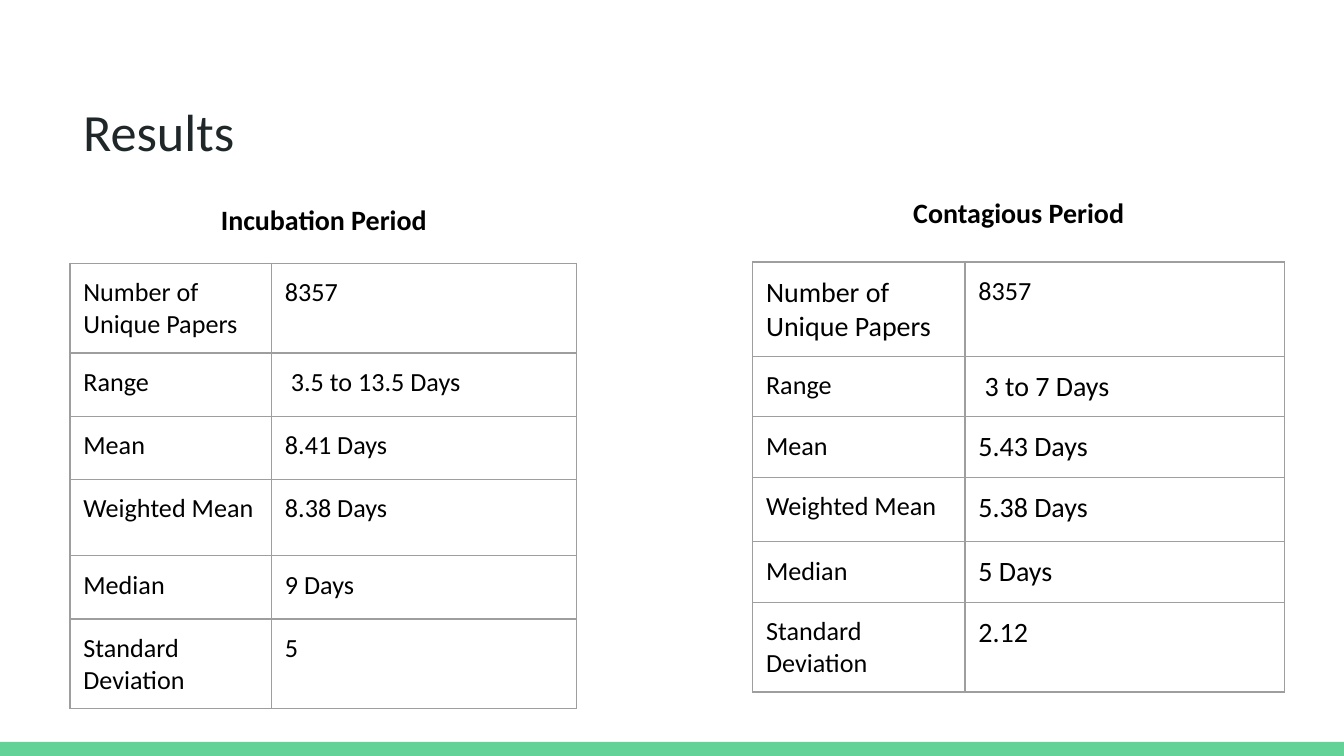
from lxml import etree
from pptx import Presentation
from pptx.dml.color import RGBColor
from pptx.enum.shapes import MSO_SHAPE
from pptx.enum.text import MSO_ANCHOR, PP_ALIGN
from pptx.oxml.ns import qn
from pptx.util import Inches, Pt

RECT = MSO_SHAPE.RECTANGLE
TOP, MIDDLE = MSO_ANCHOR.TOP, MSO_ANCHOR.MIDDLE
LEFT, CENTER = PP_ALIGN.LEFT, PP_ALIGN.CENTER

GREEN = RGBColor(0x63, 0xD2, 0x97)
DARK = RGBColor(0x20, 0x27, 0x29)
BLACK = RGBColor(0, 0, 0)
GRAY = RGBColor(0x9E, 0x9E, 0x9E)

FONT = "Calibri"
INSET = Inches(0.1)
LABELS = ["Number of Unique Papers", "Range", "Mean", "Weighted Mean",
          "Median", "Standard Deviation"]


def write(tf, text, size=14, color=BLACK, bold=False, align=LEFT, spacing=None):
    tf.word_wrap = True
    p = tf.paragraphs[0]
    p.alignment = align
    p.line_spacing = spacing
    r = p.add_run()
    r.text = text
    r.font.name = FONT
    r.font.size = Pt(size)
    r.font.bold = bold
    r.font.color.rgb = color


def add_text(s, box, text, anchor=TOP, **fmt):
    tf = s.shapes.add_textbox(*map(Inches, box)).text_frame
    tf.margin_left = tf.margin_right = tf.margin_top = tf.margin_bottom = INSET
    tf.vertical_anchor = anchor
    write(tf, text, **fmt)


def set_borders(cell):
    tc_pr = cell._tc.get_or_add_tcPr()
    for i, side in enumerate(("lnL", "lnR", "lnT", "lnB")):
        ln = etree.Element(qn(f"a:{side}"), w=str(Pt(0.75)))
        fill = etree.SubElement(ln, qn("a:solidFill"))
        etree.SubElement(fill, qn("a:srgbClr"), val=str(GRAY))
        tc_pr.insert(i, ln)


def add_results(s, box, cols, rows, values, sizes):
    frame = s.shapes.add_table(len(rows), len(cols), *map(Inches, box))
    table = frame.table
    table.first_row = table.horz_banding = False
    for column, width in zip(table.columns, cols):
        column.width = Inches(width)
    for row, height, texts, row_sizes in zip(
            table.rows, rows, zip(LABELS, values), sizes):
        row.height = Inches(height)
        for cell, text, size in zip(row.cells, texts, row_sizes):
            cell.margin_left = cell.margin_right = INSET
            cell.margin_top = cell.margin_bottom = INSET
            cell.fill.background()
            set_borders(cell)
            write(cell.text_frame, text, size=size)


def add_footer(s, box):
    sp = s.shapes.add_shape(RECT, *map(Inches, box))
    sp.shadow.inherit = False
    sp.fill.solid()
    sp.fill.fore_color.rgb = GREEN
    sp.line.fill.background()


def main():
    prs = Presentation()
    prs.slide_width = Inches(10)
    prs.slide_height = prs.slide_width * 9 // 16
    s = prs.slides.add_slide(prs.slide_layouts[6])
    add_footer(s, (0, 5.52, 10, 0.11))
    add_text(s, (0.52, 0.63, 6.91, 0.69), "Results", anchor=MIDDLE,
             size=28, color=DARK)
    heading = dict(size=15, bold=True, align=CENTER, spacing=1.15)
    add_text(s, (1.31, 1.37, 2.2, 0.46), "Incubation Period", **heading)
    add_text(s, (6.37, 1.32, 2.42, 0.54), "Contagious Period", **heading)
    add_results(s, (0.52, 1.96, 3.77, 3.28), (1.5, 2.27),
                (0.66, 0.47, 0.47, 0.57, 0.47, 0.57),
                ["8357", " 3.5 to 13.5 Days", "8.41 Days", "8.38 Days",
                 "9 Days", "5"],
                [(14, 14)] * 6)
    add_results(s, (5.6, 1.95, 3.96, 3.28), (1.58, 2.38),
                (0.67, 0.33, 0.35, 0.48, 0.35, 0.48),
                ["8357", " 3 to 7 Days", "5.43 Days", "5.38 Days",
                 "5 Days", "2.12"],
                [(15, 14)] + [(14, 15)] * 5)
    prs.save("out.pptx")


if __name__ == "__main__":
    main()
